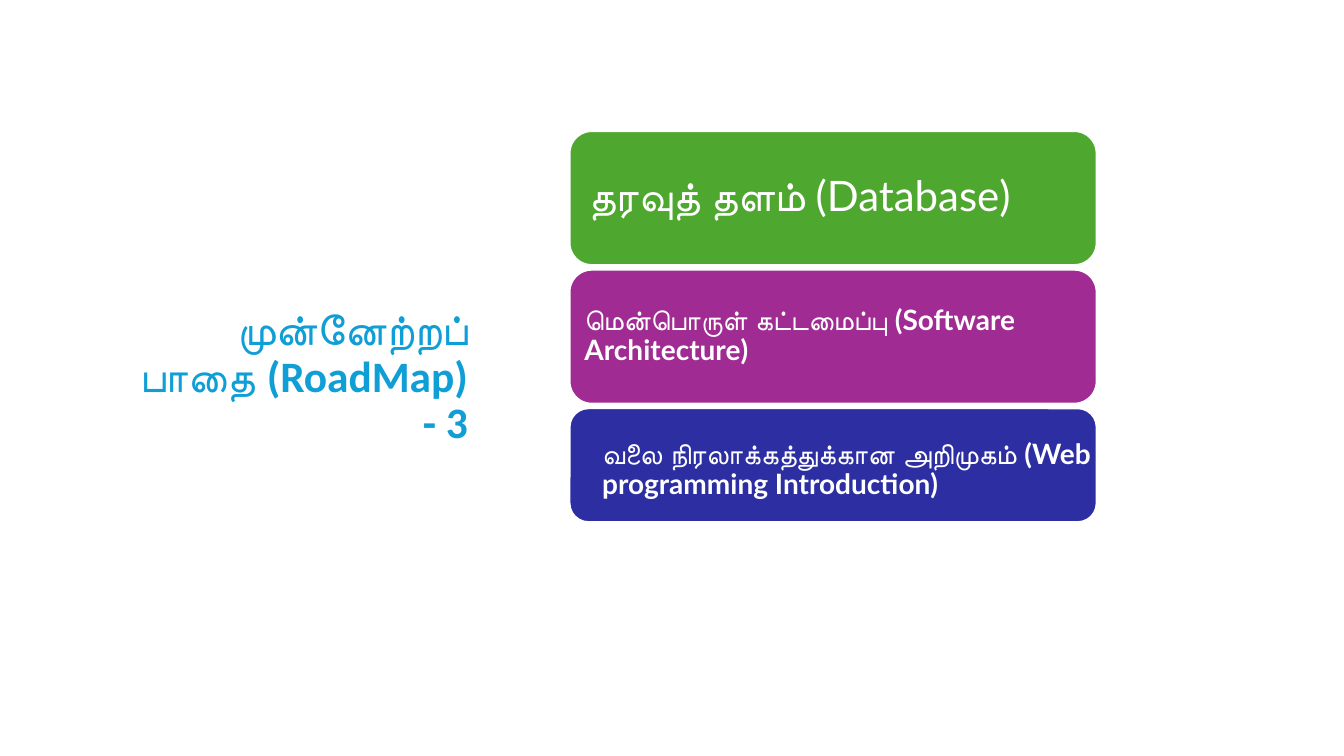
from pptx import Presentation
from pptx.dml.color import RGBColor
from pptx.enum.shapes import MSO_SHAPE as Shape
from pptx.enum.text import MSO_ANCHOR as Anchor, PP_ALIGN as Align
from pptx.util import Pt

WHITE = "FFFFFF"
TITLE_BOX = (79.2, 93.6, 262.1, 352.8)
ROADMAP_BOX = (406.8, 93.6, 376.6, 279.4)
CARD_PITCH = 99
CARD_GAP = 3.2

# wording, fill, size, bold, label inset, label place within its card (left, top, width, height)
STEPS = [
    ("தரவுத் தளம் (Database)", "4EA72E", 30, False, 9, (4.7, 4.7, 367.2, 86.4)),
    ("மென்பொருள் கட்டமைப்பு (Software Architecture)", "A02B93", 20, True, 6,
     (4.7, 4.7, 367.2, 86.4)),
    ("வலை நிரலாக்கத்துக்கான அறிமுகம் (Web programming Introduction)", "2C2EA2", 20, True, 6,
     (17.3, 7.9, 368.6, 73.4)),
]


def color(hex_code):
    return RGBColor.from_string(hex_code)


def add_text(slide, box, wording, font_name, size, hex_code, bold, align, insets):
    """Place one vertically centred paragraph; insets are (horizontal, vertical)."""
    frame = slide.shapes.add_textbox(*map(Pt, box)).text_frame
    frame.word_wrap = True
    frame.vertical_anchor = Anchor.MIDDLE
    frame.margin_left = frame.margin_right = Pt(insets[0])
    frame.margin_top = frame.margin_bottom = Pt(insets[1])
    paragraph = frame.paragraphs[0]
    paragraph.text = wording
    paragraph.alignment = align
    paragraph.line_spacing = 0.9
    font = paragraph.runs[0].font
    font.name, font.size, font.bold = font_name, Pt(size), bold
    font.color.rgb = color(hex_code)


def add_title(slide, box):
    add_text(slide, box, "முன்னேற்றப் பாதை (RoadMap) - 3", "Calibri", 31, "0F9ED5",
             True, Align.RIGHT, (7.2, 3.6))


def add_card(slide, box, step):
    wording, fill, size, bold, inset, label_place = step
    left, top, width, height = box
    card = slide.shapes.add_shape(Shape.ROUNDED_RECTANGLE, *map(Pt, box))
    card.shadow.inherit = False
    card.fill.solid()
    card.fill.fore_color.rgb = color(fill)
    card.line.color.rgb = color(WHITE)
    card.line.width = Pt(1.5)
    dx, dy, label_width, label_height = label_place
    add_text(slide, (left + dx, top + dy, label_width, label_height), wording, "Lato",
             size, WHITE, bold, Align.LEFT, (inset, inset))


def add_roadmap(slide, box):
    """Stack the cards at an equal pitch; the last one ends at the bottom of the box."""
    left, top, width, height = box
    for index, step in enumerate(STEPS):
        offset = index * CARD_PITCH
        card_height = min(CARD_PITCH - CARD_GAP, height - offset)
        add_card(slide, (left, top + offset, width, card_height), step)


def main():
    deck = Presentation()
    deck.slide_width, deck.slide_height = Pt(960), Pt(540)
    slide = deck.slides.add_slide(deck.slide_layouts[6])
    add_title(slide, TITLE_BOX)
    add_roadmap(slide, ROADMAP_BOX)
    deck.save("out.pptx")


if __name__ == "__main__":
    main()
